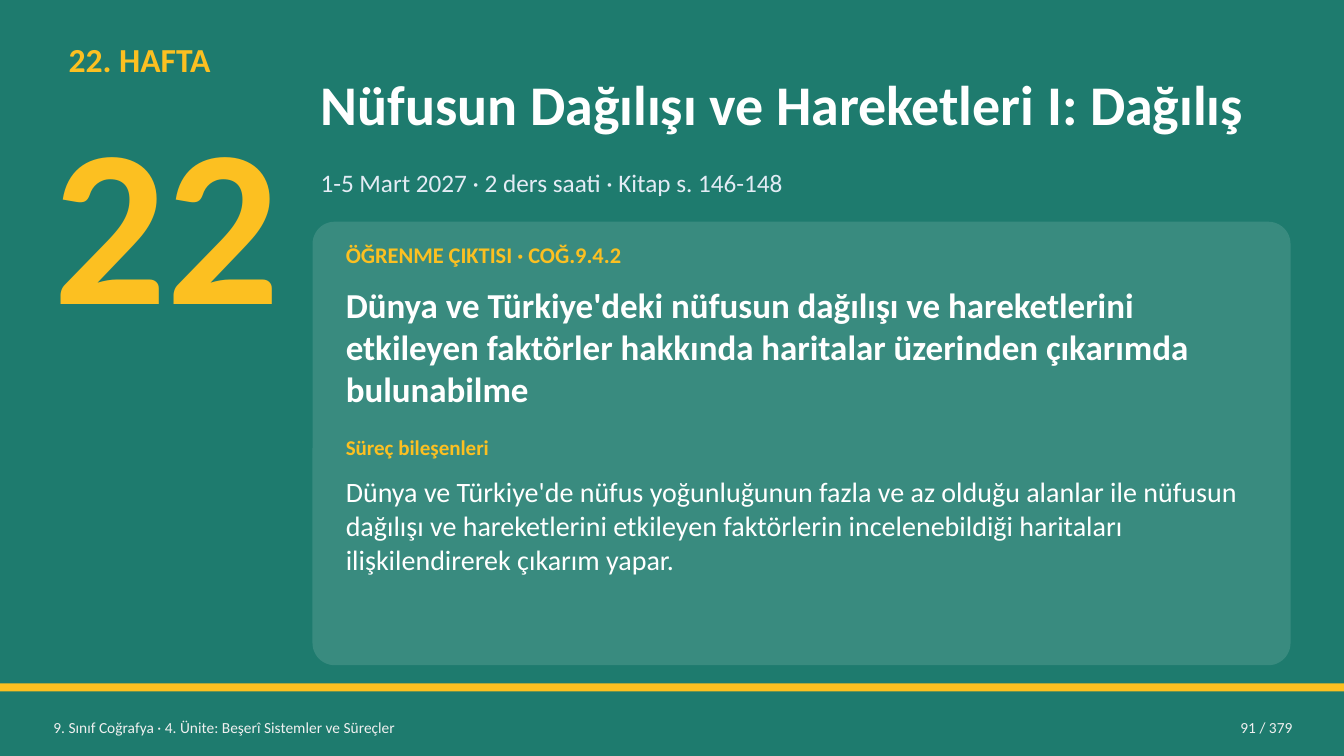
import pptx
import pptx.dml.color
import pptx.enum.shapes
import pptx.enum.text
import pptx.oxml
import pptx.oxml.ns
import pptx.util
from dataclasses import dataclass

Inches = pptx.util.Inches
SHAPE = pptx.enum.shapes.MSO_SHAPE
ALIGN = pptx.enum.text.PP_ALIGN
ANCHOR = pptx.enum.text.MSO_ANCHOR


@dataclass(frozen=True)
class Theme:
    font: str = "Calibri"
    green: str = "1E7B6E"
    gold: str = "FCC021"
    white: str = "FFFFFF"
    pale: str = "E3ECF5"
    footer_grey: str = "F0F0F0"
    number: int = 160
    title: int = 40
    outcome: int = 25
    week: int = 24
    process: int = 20
    date: int = 18
    label: int = 16
    sublabel: int = 15
    footer: int = 11


THEME = Theme()


def rgb(color):
    return pptx.dml.color.RGBColor.from_string(color)


def add_block(s, kind, box, color, alpha=None):
    """Add a borderless filled shape; alpha is its opacity in percent."""
    sp = s.shapes.add_shape(kind, *map(Inches, box))
    sp.shadow.inherit = False
    sp.fill.solid()
    sp.fill.fore_color.rgb = rgb(color)
    sp.line.fill.background()
    if alpha is not None:
        clr = sp.fill._xPr.find(".//" + pptx.oxml.ns.qn("a:srgbClr"))
        clr.append(pptx.oxml.parse_xml(
            f'<a:alpha {pptx.oxml.ns.nsdecls("a")} val="{alpha * 1000}"/>'))
    return sp


def write_text(sp, text, size, color, bold=False, anchor=ANCHOR.TOP,
               align=ALIGN.LEFT, pad=0.04):
    tf = sp.text_frame
    frame_format = {
        "word_wrap": True,
        "auto_size": pptx.enum.text.MSO_AUTO_SIZE.NONE,
        "vertical_anchor": anchor,
        "margin_left": Inches(0.08),
        "margin_right": Inches(0.08),
        "margin_top": Inches(pad),
        "margin_bottom": Inches(pad),
    }
    for name, value in frame_format.items():
        setattr(tf, name, value)
    p = tf.paragraphs[0]
    p.alignment = align
    r = p.add_run()
    r.text = text
    font_format = {"name": THEME.font, "size": pptx.util.Pt(size), "bold": bold}
    for name, value in font_format.items():
        setattr(r.font, name, value)
    r.font.color.rgb = rgb(color)


def add_text(s, box, text, size, color, **options):
    write_text(s.shapes.add_textbox(*map(Inches, box)), text, size, color, **options)


def add_title(s, box, text):
    """Place the title placeholder in front of the backdrop."""
    sp = s.shapes.title
    sp.left, sp.top, sp.width, sp.height = map(Inches, box)
    write_text(sp, text, THEME.title, THEME.white, bold=True, anchor=ANCHOR.MIDDLE)
    s.shapes._spTree.append(sp._element)


def add_outcome_card(s):
    card = add_block(s, SHAPE.ROUNDED_RECTANGLE, (3.1, 2.2, 9.7, 4.4), THEME.white, alpha=12)
    card.adjustments[0] = 0.05
    rows = [
        (2.35, 0.4, "ÖĞRENME ÇIKTISI · COĞ.9.4.2", THEME.label, THEME.gold, True),
        (2.77, 1.38, "Dünya ve Türkiye'deki nüfusun dağılışı ve hareketlerini etkileyen "
         "faktörler hakkında haritalar üzerinden çıkarımda bulunabilme",
         THEME.outcome, THEME.white, True),
        (4.27, 0.38, "Süreç bileşenleri", THEME.sublabel, THEME.gold, True),
        (4.67, 1.81, "Dünya ve Türkiye'de nüfus yoğunluğunun fazla ve az olduğu alanlar ile "
         "nüfusun dağılışı ve hareketlerini etkileyen faktörlerin incelenebildiği "
         "haritaları ilişkilendirerek çıkarım yapar.",
         THEME.process, THEME.white, False),
    ]
    for top, height, text, size, color, bold in rows:
        add_text(s, (3.35, top, 9.2, height), text, size, color, bold=bold)


def add_footer(s):
    for left, width, text, align in [
        (0.45, 7.6, "9. Sınıf Coğrafya · 4. Ünite: Beşerî Sistemler ve Süreçler", ALIGN.LEFT),
        (11.3, 1.6, "91 / 379", ALIGN.RIGHT),
    ]:
        add_text(s, (left, 7.04, width, 0.36), text, THEME.footer, THEME.footer_grey,
                 anchor=ANCHOR.MIDDLE, align=align)


def main():
    prs = pptx.Presentation()
    prs.slide_width, prs.slide_height = Inches(13.33), Inches(7.5)
    s = prs.slides.add_slide(prs.slide_layouts.get_by_name("Title Only"))

    add_block(s, SHAPE.RECTANGLE, (0, 0, 13.33, 7.5), THEME.green)
    add_block(s, SHAPE.RECTANGLE, (0, 6.78, 13.33, 0.08), THEME.gold)
    add_text(s, (0.6, 0.35, 2.6, 0.55), "22. HAFTA", THEME.week, THEME.gold, bold=True)
    add_text(s, (0.45, 0.8, 2.6, 2.75), "22", THEME.number, THEME.gold, bold=True, pad=0)
    add_title(s, (3.1, 0.45, 9.7, 1.15), "Nüfusun Dağılışı ve Hareketleri I: Dağılış")
    add_text(s, (3.1, 1.62, 9.7, 0.45), "1-5 Mart 2027 · 2 ders saati · Kitap s. 146-148",
             THEME.date, THEME.pale)
    add_outcome_card(s)
    add_footer(s)

    prs.save("out.pptx")


if __name__ == "__main__":
    main()
